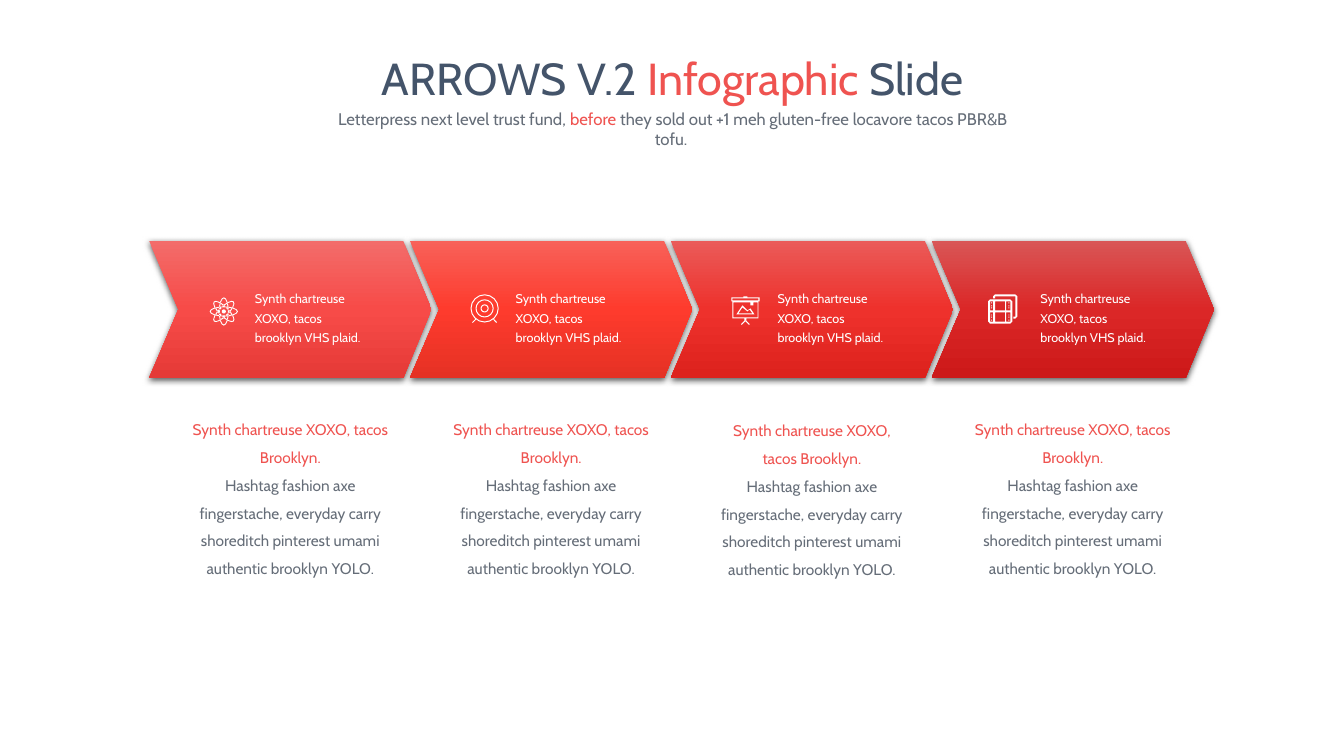
import math
from copy import deepcopy
from dataclasses import dataclass

from pptx import Presentation
from pptx import oxml, util as u
from pptx.dml.color import RGBColor
from pptx.enum import text
from pptx.oxml import ns


@dataclass(frozen=True)
class Theme:
    """Colours, font and type sizes of the slide."""
    font: str = "Cabin"
    navy: str = "44546A"
    coral: str = "EF5350"
    grey: str = "656D78"
    white: str = "FFFFFF"
    title: int = 32
    subtitle: int = 12
    body: int = 11
    label: int = 9
    stroke: float = 0.01
    arrows: tuple = (
        ("F36C6A", "F74B48", "E53A37"),
        ("F86159", "FE3B2D", "E53124"),
        ("EA5B59", "EE312C", "DD221D"),
        ("D95656", "DB2727", "CC1919"),
    )


T = Theme()
CENTER, LEFT = text.PP_ALIGN.CENTER, text.PP_ALIGN.LEFT
SHADOW = (f'<a:outerShdw {ns.nsdecls("a")} blurRad="57150" dist="19050" dir="5400000" '
          'algn="ctr" rotWithShape="0"><a:srgbClr val="000000"><a:alpha val="63000"/>'
          '</a:srgbClr></a:outerShdw>')


def ellipse(rx, ry, turn=0):
    """Return the contour of a turned ellipse centred in an icon."""
    c, s = math.cos(math.radians(turn)), math.sin(math.radians(turn))
    angles = [math.tau * i / 16 for i in range(16)]
    return [(0.14 + rx * math.cos(a) * c - ry * math.sin(a) * s,
             0.14 + rx * math.cos(a) * s + ry * math.sin(a) * c) for a in angles]


def ring(rx, ry, turn=0):
    """Return the outer and inner contours of an elliptical ring."""
    return [ellipse(rx, ry, turn), ellipse(rx - T.stroke, ry - T.stroke, turn)]


def box(x, y, w, h):
    """Return the contour of a rectangle."""
    return [(x, y), (x + w, y), (x + w, y + h), (x, y + h)]


def frame(x, y, w, h):
    """Return the outer and inner contours of a rectangular frame."""
    t = T.stroke
    return [box(x, y, w, h), box(x + t, y + t, w - 2 * t, h - 2 * t)]


def rounded(x, y, w, h, cut=0.02):
    """Return the contour of a rectangle with cut corners."""
    r, b = x + w, y + h
    return [(x + cut, y), (r - cut, y), (r, y + cut), (r, b - cut),
            (r - cut, b), (x + cut, b), (x, b - cut), (x, y + cut)]


def bar(x1, y1, x2, y2):
    """Return the contour of a straight stroke."""
    k = T.stroke / 2 / math.hypot(x2 - x1, y2 - y1)
    dx, dy = (y1 - y2) * k, (x2 - x1) * k
    return [(x1 + dx, y1 + dy), (x2 + dx, y2 + dy), (x2 - dx, y2 - dy), (x1 - dx, y1 - dy)]


ATOM = [c for turn in (0, 45, 90, 135) for c in ring(0.05, 0.14, turn)] + [ellipse(0.02, 0.02)]
TARGET = [c for r in (0.14, 0.09, 0.04) for c in ring(r, r)] + [
    bar(0.05, 0.25, 0.02, 0.28), bar(0.23, 0.25, 0.26, 0.28)]
BOARD = frame(0, 0.01, 0.28, 0.04) + frame(0.01, 0.05, 0.26, 0.17) + [
    box(0.12, 0, 0.04, 0.01), box(0.19, 0.06, 0.03, 0.03), box(0.13, 0.22, 0.02, 0.02),
    bar(0.14, 0.24, 0.1, 0.28), bar(0.14, 0.24, 0.18, 0.28),
    [(0.05, 0.18), (0.11, 0.09), (0.16, 0.14), (0.19, 0.12), (0.23, 0.18)],
    [(0.07, 0.17), (0.11, 0.11), (0.16, 0.15), (0.18, 0.13), (0.21, 0.17)]]
FILM = [rounded(0, 0.05, 0.24, 0.24)] + [
    box(x, y, w, 0.09) for y in (0.07, 0.18) for x, w in ((0.02, 0.03), (0.07, 0.1), (0.18, 0.04))
] + [box(x, y, 0.01, 0.01) for x in (0.03, 0.2) for y in (0.08, 0.11, 0.13, 0.2, 0.22, 0.25)] + [
    [(0.05, 0.04), (0.05, 0.02), (0.07, 0), (0.27, 0), (0.29, 0.02), (0.29, 0.22), (0.27, 0.24),
     (0.25, 0.24), (0.25, 0.22), (0.27, 0.22), (0.27, 0.02), (0.07, 0.02), (0.07, 0.04)]]

STEPS = (
    {"icon": ATOM, "icon_at": (0.6, 0.56), "label_x": 0.95, "note_y": 1.64, "note_w": 2.32},
    {"icon": TARGET, "icon_at": (0.6, 0.53), "label_x": 0.95, "note_y": 1.64, "note_w": 2.32},
    {"icon": BOARD, "icon_at": (0.6, 0.55), "label_x": 0.96, "note_y": 1.65, "note_w": 2.05},
    {"icon": FILM, "icon_at": (0.56, 0.53), "label_x": 0.98, "note_y": 1.64, "note_w": 2.18},
)


def add_text(slide, place, size, paragraphs, align=CENTER, spacing=None):
    """Add a text box whose paragraphs are lists of (text, colour) runs."""
    tf = slide.shapes.add_textbox(*map(u.Inches, place)).text_frame
    tf.word_wrap = True
    tf.auto_size = text.MSO_AUTO_SIZE.SHAPE_TO_FIT_TEXT
    for i, runs in enumerate(paragraphs):
        p = tf.add_paragraph() if i else tf.paragraphs[0]
        p.alignment, p.line_spacing = align, spacing
        for words, colour in runs:
            r = p.add_run()
            r.text = words
            r.font.name, r.font.size = T.font, u.Pt(size)
            r.font.color.rgb = RGBColor.from_string(colour)


def add_outline(slide, x, y, contours):
    """Add one unlined freeform made of closed contours measured from x, y."""
    fb = None
    for contour in contours:
        start, *rest = [(u.Inches(x + dx), u.Inches(y + dy)) for dx, dy in contour]
        if fb is None:
            fb = slide.shapes.build_freeform(*start)
        else:
            fb.move_to(*start)
        fb.add_line_segments(rest, close=True)
    s = fb.convert_to_shape()
    s.line.fill.background()
    s.shadow.inherit = False
    return s


def add_header(slide, place):
    """Place the title and the subtitle in the given box."""
    x, y, w, h = place
    add_text(slide, (x, y, w, 0.64), T.title,
             [[("ARROWS V.2 ", T.navy), ("Infographic ", T.coral), ("Slide", T.navy)]])
    add_text(slide, (x + 0.66, y + 0.58, 6.95, h - 0.58), T.subtitle, [[
        ("Letterpress next level trust fund, ", T.grey), ("before", T.coral),
        (" they sold out +1 meh gluten-free locavore tacos PBR&B tofu. ", T.grey)]])


def add_arrow(slide, place, colours):
    """Fill the given box with a notched arrow in a three-stop gradient."""
    x, y, w, h = place
    s = add_outline(slide, x, y, [[(0, 0), (w - 0.28, 0), (w, h / 2), (w - 0.28, h),
                                   (0, h), (0.29, h / 2)]])
    s.fill.gradient()
    s.fill.gradient_angle = 270
    stops = s.element.spPr.find(ns.qn("a:gradFill")).find(ns.qn("a:gsLst"))
    stops.append(deepcopy(stops[0]))
    for stop, position, colour in zip(s.fill.gradient_stops, (0, 0.5, 1), colours):
        stop.position = position
        stop.color.rgb = RGBColor.from_string(colour)
    s.element.spPr.find(ns.qn("a:effectLst")).append(oxml.parse_xml(SHADOW))


def add_step(slide, place, step, colours):
    """Place one arrow with its icon and label, and the note below it."""
    x, y, w, h = place
    add_arrow(slide, (x, y, w, 1.36), colours)
    dx, dy = step["icon_at"]
    icon = add_outline(slide, x + dx, y + dy, step["icon"])
    icon.fill.solid()
    icon.fill.fore_color.rgb = RGBColor.from_string(T.white)
    add_text(slide, (x + step["label_x"], y + 0.4, 1.25, 0.69), T.label,
             [[("Synth chartreuse XOXO, tacos brooklyn VHS plaid.", T.white)]], LEFT, 1.3)
    note_y, note_w = step["note_y"], step["note_w"]
    add_text(slide, (x + (w - note_w) / 2, y + note_y, note_w, h - note_y), T.body, [
        [("Synth chartreuse XOXO, tacos Brooklyn.", T.coral)],
        [("Hashtag fashion axe fingerstache, everyday carry shoreditch pinterest "
          "umami authentic brooklyn YOLO.", T.grey)]], spacing=1.5)


def main():
    """Build the arrows slide."""
    prs = Presentation()
    prs.slide_width, prs.slide_height = u.Inches(13.33), u.Inches(7.5)
    slide = prs.slides.add_slide(prs.slide_layouts[6])
    add_header(slide, (2.54, 0.45, 8.26, 0.88))
    first, last = 1.48, 9.24
    pitch = (last - first) / (len(STEPS) - 1)
    for i, (step, colours) in enumerate(zip(STEPS, T.arrows)):
        add_step(slide, (first + pitch * i, 2.39, 2.8, 3.38), step, colours)
    prs.save("out.pptx")


if __name__ == "__main__":
    main()
